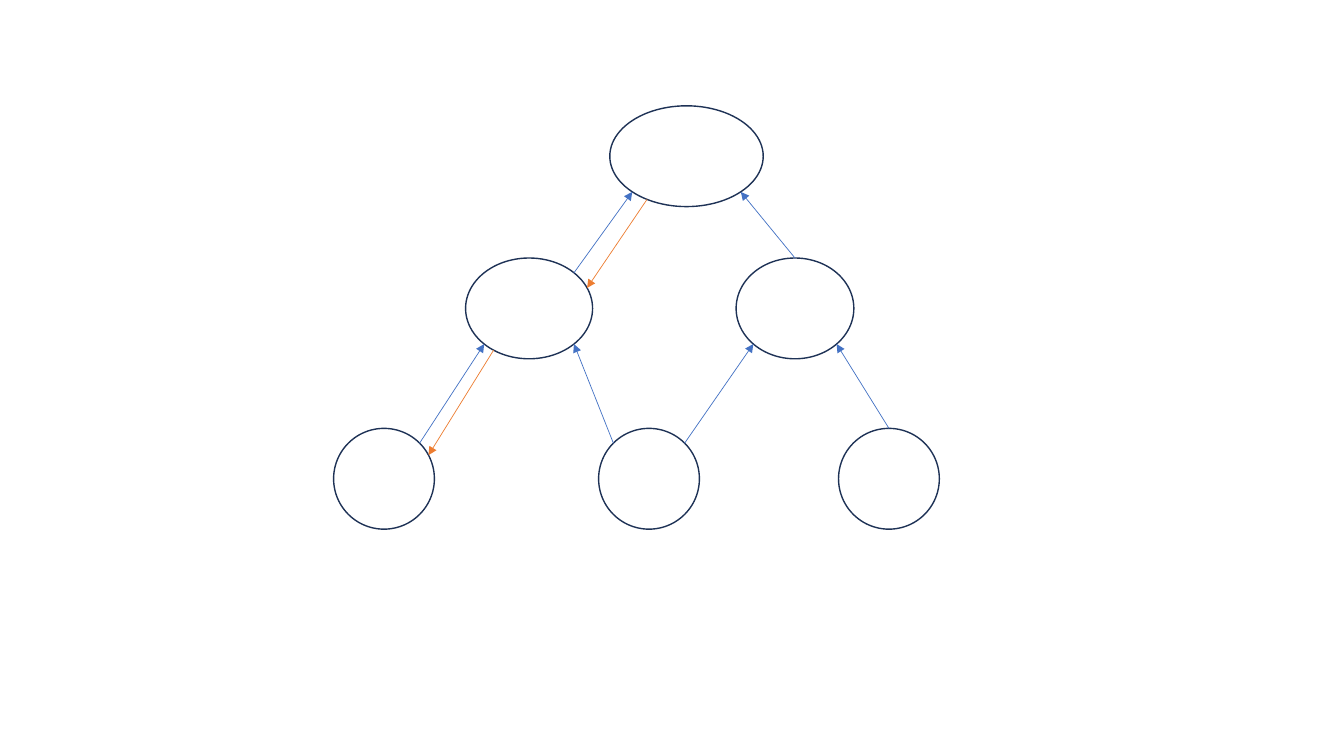
from math import cos, radians, sin

from lxml import etree
from pptx import Presentation
from pptx.dml.color import RGBColor
from pptx.enum.shapes import MSO_CONNECTOR, MSO_SHAPE
from pptx.oxml.ns import qn
from pptx.util import Pt

# Colours
OUTLINE = RGBColor(0x1E, 0x32, 0x56)
UP_BLUE = RGBColor(0x44, 0x72, 0xC4)
DOWN_ORANGE = RGBColor(0xED, 0x7D, 0x31)

# Tree nodes: left, level, width
NODE_HEIGHT = 72
LEVEL_TOPS = [75.6, 184.3, 306]
NODES = {
    "root": (435.6, 0, 109.6),
    "left leaf": (238.3, 2, 72),
    "middle leaf": (427.6, 2, 72),
    "right branch": (525.8, 1, 84.1),
    "left branch": (332.6, 1, 90.7),
    "right leaf": (599, 2, 72),
}

# Arrows: start node, angle, end node, angle, colour
# Angles are in degrees, clockwise from the right-hand side of the ellipse
ARROWS = [
    ("left leaf", -45, "left branch", 135, UP_BLUE),
    ("left branch", -45, "root", 135, UP_BLUE),
    ("middle leaf", -135, "left branch", 45, UP_BLUE),
    ("right leaf", -90, "right branch", 45, UP_BLUE),
    ("right branch", -90, "root", 45, UP_BLUE),
    ("middle leaf", -45, "right branch", 135, UP_BLUE),
    ("root", 121, "left branch", -24, DOWN_ORANGE),
    ("left branch", 124, "left leaf", -28, DOWN_ORANGE),
]


def point_on_node(name, angle):
    left, level, width = NODES[name]
    x = left + width / 2 * (1 + cos(radians(angle)))
    y = LEVEL_TOPS[level] + NODE_HEIGHT / 2 * (1 + sin(radians(angle)))
    return Pt(x), Pt(y)


def add_node(slide, left, level, width):
    shape = slide.shapes.add_shape(
        MSO_SHAPE.OVAL, Pt(left), Pt(LEVEL_TOPS[level]), Pt(width), Pt(NODE_HEIGHT))
    shape.shadow.inherit = False
    shape.fill.background()
    shape.line.color.rgb = OUTLINE
    shape.line.width = Pt(1)


def add_arrow(slide, start, start_angle, end, end_angle, colour):
    connector = slide.shapes.add_connector(
        MSO_CONNECTOR.STRAIGHT,
        *point_on_node(start, start_angle), *point_on_node(end, end_angle))
    connector.line.color.rgb = colour
    connector.line.width = Pt(0.5)
    line = connector.line._get_or_add_ln()
    etree.SubElement(line, qn("a:tailEnd"), type="triangle")
    etree.SubElement(connector._element.spPr, qn("a:effectLst"))


def main():
    presentation = Presentation()
    presentation.slide_width, presentation.slide_height = Pt(960), Pt(540)
    slide = presentation.slides.add_slide(presentation.slide_layouts[6])

    # Nodes
    for node in NODES.values():
        add_node(slide, *node)

    # Arrows
    for arrow in ARROWS:
        add_arrow(slide, *arrow)

    presentation.save("out.pptx")


if __name__ == "__main__":
    main()
